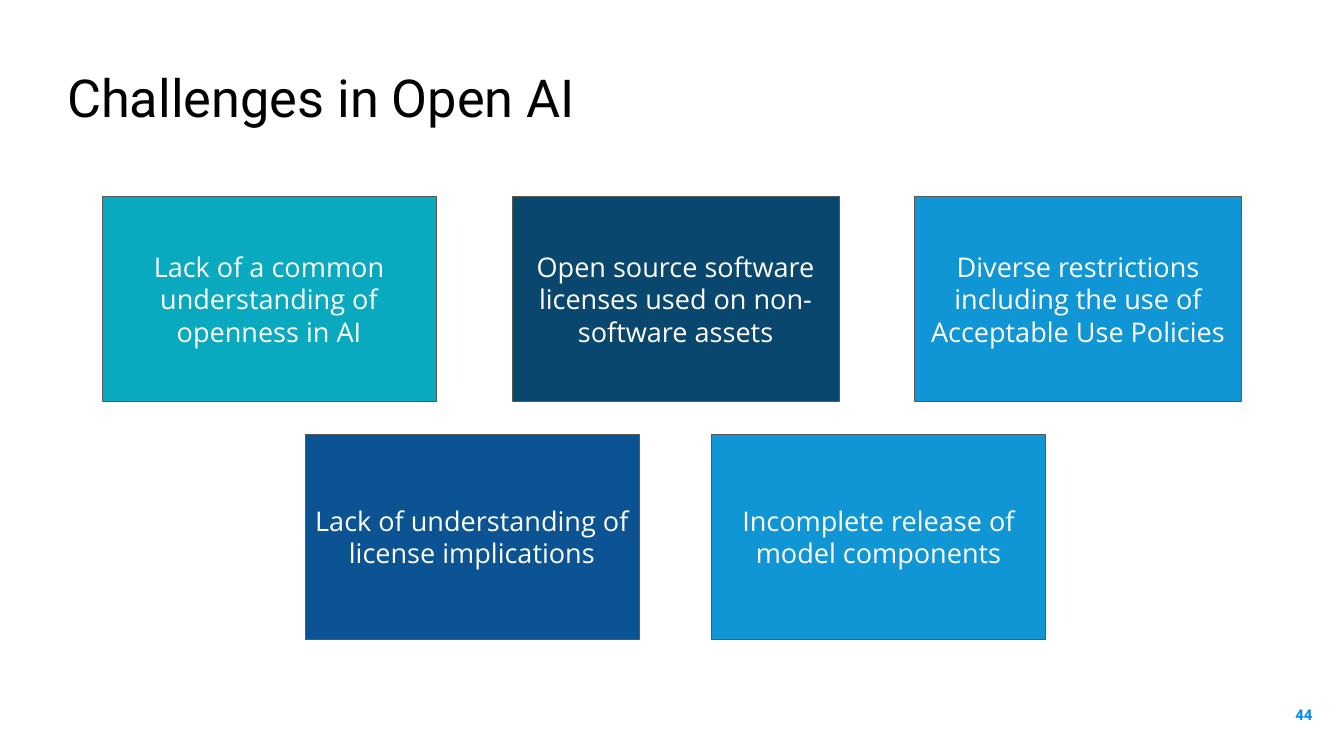
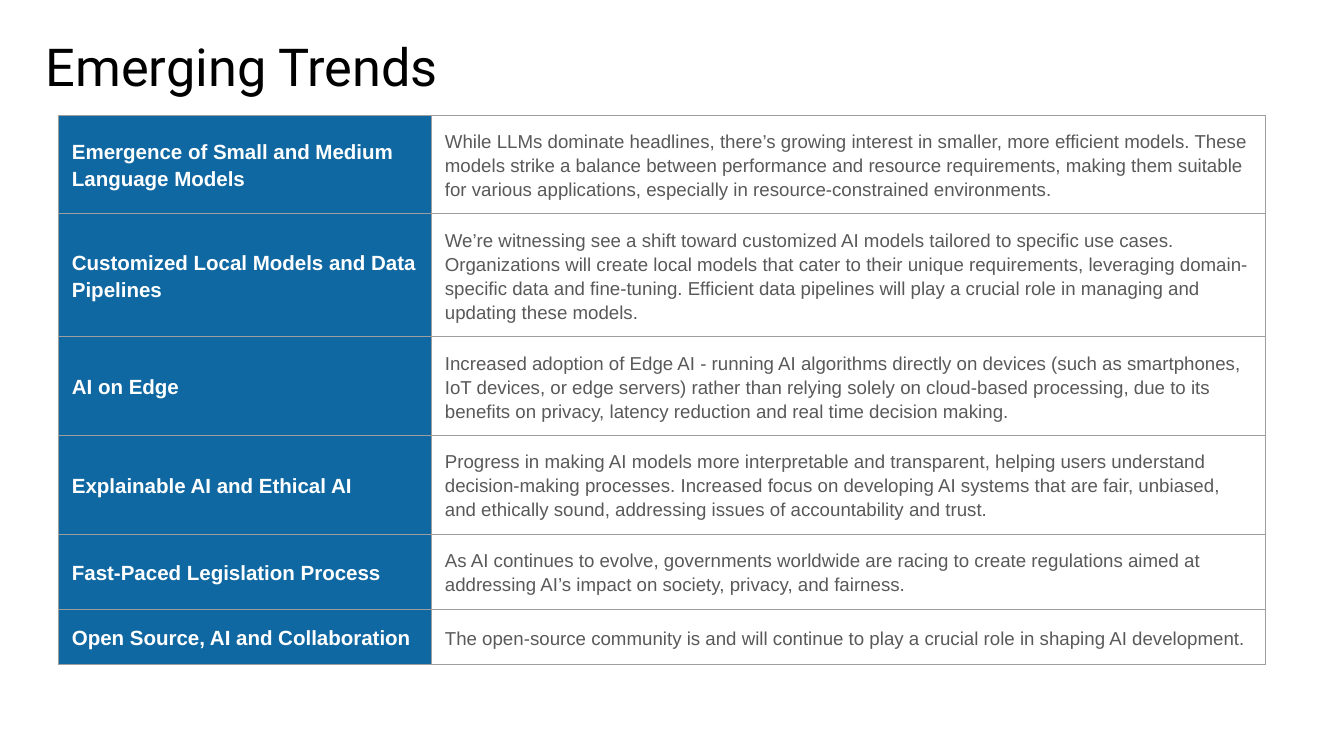
from dataclasses import dataclass

from lxml.etree import SubElement
from pptx import Presentation
from pptx.dml.color import RGBColor
from pptx.enum.shapes import MSO_SHAPE as Shape
from pptx.enum.text import MSO_ANCHOR as Anchor, MSO_AUTO_SIZE as AutoSize, PP_ALIGN as Align
from pptx.oxml.ns import qn
from pptx.slide import Slide
from pptx.table import _Cell as Cell
from pptx.text.text import TextFrame, _Paragraph as Paragraph
from pptx.util import Inches, Pt

COLORS = {
    "title": "000000",
    "white": "FFFFFF",
    "grey": "595959",
    "border": "9E9E9E",
    "number": "0088FF",
    "teal": "09A9BF",
    "navy": "0A476F",
    "royal": "0C5394",
    "sky": "1096D5",
    "trend": "1068A2",
}
SLIDE_W, SLIDE_H = 20, 11.25
LINE_W = 0.75

BOX_COLUMNS = (1.52, 4.54, 7.62, 10.59, 13.61)
BOX_TOP, BOX_ROW_STEP, BOX_H = 2.92, 3.54, 3.05
WIDE, NARROW = 4.97, 4.87

TABLE_LEFT, TABLE_TOP = 0.87, 1.71
TABLE_COLUMNS = (5.55, 12.41)


@dataclass(frozen=True)
class TextStyle:
    font: str
    size: float
    color: str
    bold: bool = False
    align: Align = Align.LEFT
    line_spacing: float = 1.0
    space_after: float = 0


@dataclass(frozen=True)
class Box:
    text: str
    column: int
    row: int
    width: float
    color: str


@dataclass(frozen=True)
class Trend:
    name: str
    detail: str
    height: float


TITLE = TextStyle("Roboto", 56, "title")
NUMBER = TextStyle("Roboto", 16, "number", True, Align.RIGHT)
BOX_TEXT = TextStyle("Open Sans", 29, "white", align=Align.CENTER)
TREND_NAME = TextStyle("Arial", 22, "white", True, line_spacing=1.15, space_after=20)
TREND_DETAIL = TextStyle("Arial", 20, "grey", line_spacing=1.15, space_after=20)

CHALLENGES = (
    Box("Lack of a common understanding of openness in AI", 0, 0, WIDE, "teal"),
    Box("Open source software licenses used on non-software assets", 2, 0, NARROW, "navy"),
    Box("Diverse restrictions including the use of Acceptable Use Policies", 4, 0, NARROW, "sky"),
    Box("Lack of understanding of license implications", 1, 1, WIDE, "royal"),
    Box("Incomplete release of model components", 3, 1, WIDE, "sky"),
)

TRENDS = (
    Trend(
        "Emergence of Small and Medium Language Models",
        "While LLMs dominate headlines, there’s growing interest in smaller, more efficient "
        "models. These models strike a balance between performance and resource requirements, "
        "making them suitable for various applications, especially in resource-constrained "
        "environments.",
        1.47,
    ),
    Trend(
        "Customized Local Models and Data Pipelines",
        "We’re witnessing see a shift toward customized AI models tailored to specific use cases. "
        "Organizations will create local models that cater to their unique requirements, "
        "leveraging domain-specific data and fine-tuning. Efficient data pipelines will play a "
        "crucial role in managing and updating these models.",
        1.83,
    ),
    Trend(
        "AI on Edge",
        "Increased adoption of Edge AI - running AI algorithms directly on devices (such as "
        "smartphones, IoT devices, or edge servers) rather than relying solely on cloud-based "
        "processing, due to its benefits on privacy, latency reduction and real time decision "
        "making.",
        1.47,
    ),
    Trend(
        "Explainable AI and Ethical AI",
        "Progress in making AI models more interpretable and transparent, helping users "
        "understand decision-making processes. Increased focus on developing AI systems that are "
        "fair, unbiased, and ethically sound, addressing issues of accountability and trust.",
        1.47,
    ),
    Trend(
        "Fast-Paced Legislation Process",
        "As AI continues to evolve, governments worldwide are racing to create regulations aimed "
        "at addressing AI’s impact on society, privacy, and fairness.",
        1.12,
    ),
    Trend(
        "Open Source, AI and Collaboration",
        "The open-source community is and will continue to play a crucial role in shaping AI "
        "development.",
        0.82,
    ),
)


def rgb(name: str) -> RGBColor:
    return RGBColor.from_string(COLORS[name])


def format_paragraph(p: Paragraph, style: TextStyle) -> None:
    p.alignment = style.align
    p.line_spacing = style.line_spacing
    p.space_before = Pt(0)
    p.space_after = Pt(style.space_after)
    p.font.name = style.font
    p.font.size = Pt(style.size)
    p.font.bold = style.bold
    p.font.color.rgb = rgb(style.color)


def set_margins(target: TextFrame | Cell, margin: float) -> None:
    for side in ("left", "top", "right", "bottom"):
        setattr(target, f"margin_{side}", Inches(margin))


def write(tf: TextFrame, text: str, style: TextStyle, margin: float, anchor: Anchor) -> None:
    tf.text = text
    tf.word_wrap = True
    tf.auto_size = AutoSize.NONE
    tf.vertical_anchor = anchor
    set_margins(tf, margin)
    format_paragraph(tf.paragraphs[0], style)


def add_titled_slide(prs: Presentation, title: str, left: float, top: float) -> Slide:
    s = prs.slides.add_slide(prs.slide_layouts[5])
    sp = s.shapes.title
    sp.left, sp.top = Inches(left), Inches(top)
    sp.width, sp.height = Inches(18.64), Inches(1.25)
    write(sp.text_frame, title, TITLE, 0, Anchor.TOP)
    return s


def add_number(s: Slide, number: str) -> None:
    sp = s.shapes.add_textbox(Inches(18.53), Inches(10.2), Inches(1.2), Inches(0.86))
    write(sp.text_frame, number, NUMBER, 0.2, Anchor.MIDDLE)


def add_box(s: Slide, box: Box) -> None:
    sp = s.shapes.add_shape(
        Shape.RECTANGLE,
        Inches(BOX_COLUMNS[box.column]),
        Inches(BOX_TOP + box.row * BOX_ROW_STEP),
        Inches(box.width),
        Inches(BOX_H),
    )
    sp.shadow.inherit = False
    sp.fill.solid()
    sp.fill.fore_color.rgb = rgb(box.color)
    sp.line.color.rgb = rgb("grey")
    sp.line.width = Pt(LINE_W)
    write(sp.text_frame, box.text, BOX_TEXT, 0.1, Anchor.MIDDLE)


def add_borders(cell: Cell) -> None:
    tc_pr = cell._tc.get_or_add_tcPr()
    for side in ("lnL", "lnR", "lnT", "lnB"):
        ln = SubElement(tc_pr, qn(f"a:{side}"), w=str(Pt(LINE_W)))
        fill = SubElement(ln, qn("a:solidFill"))
        SubElement(fill, qn("a:srgbClr"), val=COLORS["border"])


def fill_cell(cell: Cell, text: str, style: TextStyle, color: str | None) -> None:
    cell.text = text
    cell.vertical_anchor = Anchor.MIDDLE
    set_margins(cell, 0.2)
    format_paragraph(cell.text_frame.paragraphs[0], style)
    add_borders(cell)
    if color:
        cell.fill.solid()
        cell.fill.fore_color.rgb = rgb(color)
    else:
        cell.fill.background()


def add_trend_table(s: Slide, trends: tuple[Trend, ...]) -> None:
    table = s.shapes.add_table(
        len(trends),
        len(TABLE_COLUMNS),
        Inches(TABLE_LEFT),
        Inches(TABLE_TOP),
        Inches(sum(TABLE_COLUMNS)),
        Inches(sum(t.height for t in trends)),
    ).table
    table.first_row = table.horz_banding = False
    for column, width in zip(table.columns, TABLE_COLUMNS):
        column.width = Inches(width)
    for row, trend in zip(table.rows, trends):
        row.height = Inches(trend.height)
        name, detail = row.cells
        fill_cell(name, trend.name, TREND_NAME, "trend")
        fill_cell(detail, trend.detail, TREND_DETAIL, None)


def main() -> None:
    prs = Presentation()
    prs.slide_width, prs.slide_height = Inches(SLIDE_W), Inches(SLIDE_H)

    s = add_titled_slide(prs, "Challenges in Open AI", 1, 0.97)
    add_number(s, "44")
    for box in CHALLENGES:
        add_box(s, box)

    s = add_titled_slide(prs, "Emerging Trends", 0.68, 0.51)
    add_trend_table(s, TRENDS)

    prs.save("out.pptx")


if __name__ == "__main__":
    main()
